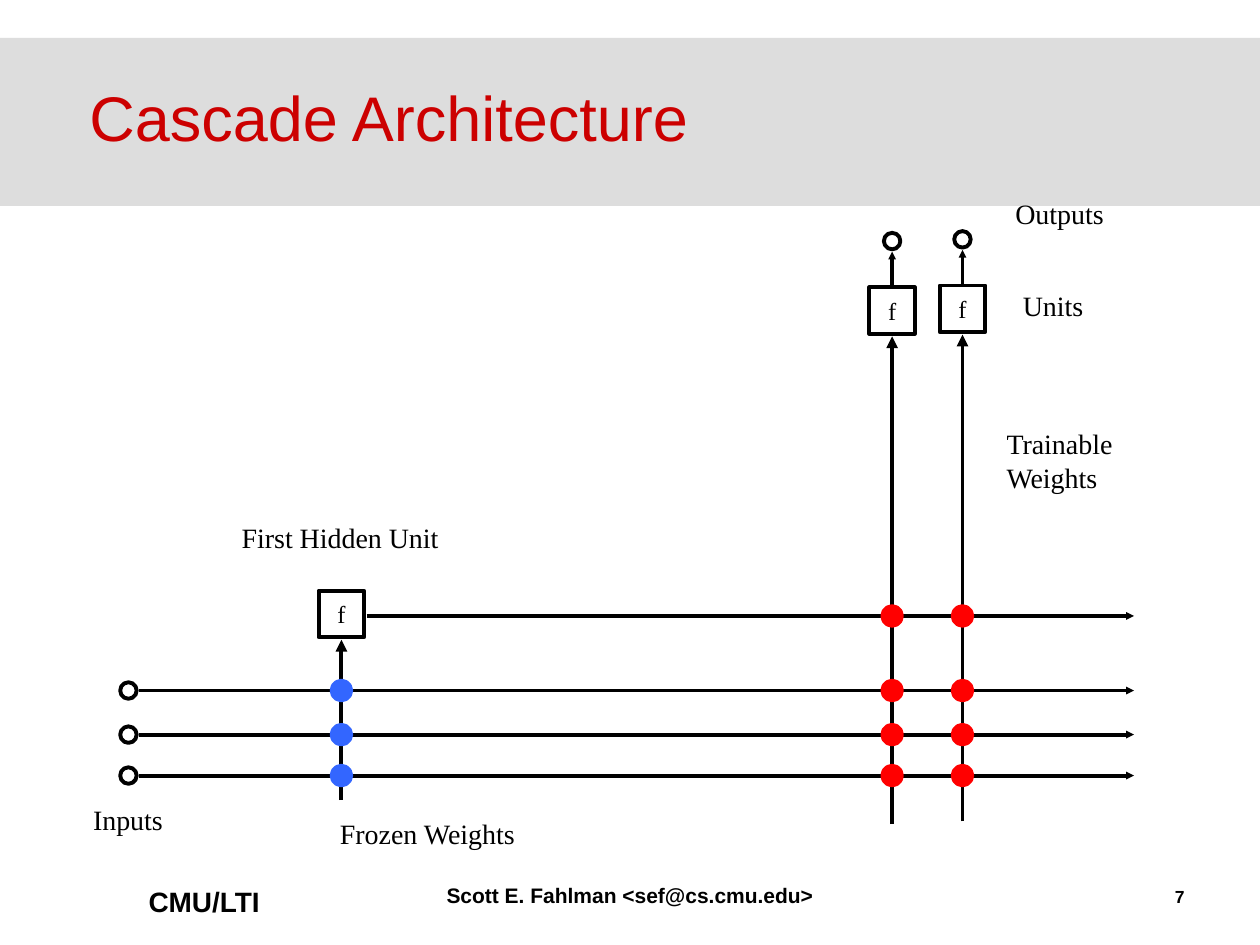
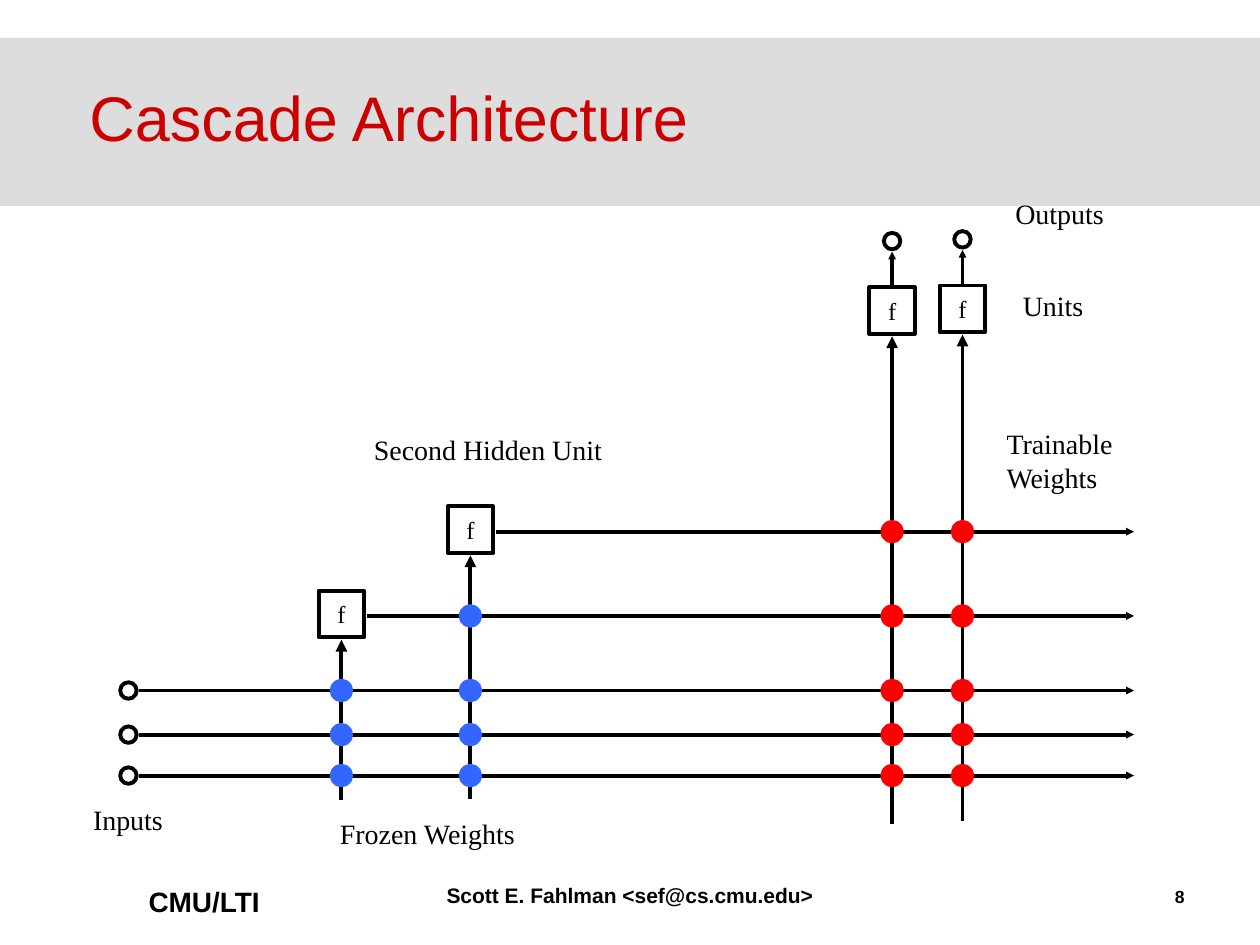
from dataclasses import dataclass

from lxml.etree import SubElement
from pptx import Presentation
from pptx.dml.color import RGBColor
from pptx.enum.shapes import MSO_CONNECTOR, MSO_SHAPE
from pptx.enum.text import MSO_ANCHOR as Anchor, PP_ALIGN as Align
from pptx.oxml.ns import qn
from pptx.util import Pt


@dataclass(frozen=True)
class Theme:
    ink: str = "000000"
    band: str = "DDDDDD"
    title: str = "CC0000"
    trainable: str = "FF0000"
    frozen: str = "3366FF"
    sans: str = "Arial"
    serif: str = "Times New Roman"
    title_size: float = 36
    label_size: float = 16
    unit_size: float = 14
    footer_size: float = 12
    number_size: float = 10
    stroke: float = 2.25
    dot_stroke: float = 4


@dataclass(frozen=True)
class Text:
    text: str
    left: float
    top: float
    width: float
    height: float
    size: float
    font: str
    color: str
    bold: bool = False
    anchor: Anchor = Anchor.TOP
    align: Align = Align.LEFT
    wrap: bool = True


@dataclass(frozen=True)
class Unit:
    x: float
    top: float
    foot: float
    hidden: bool

    @property
    def bottom(self) -> float:
        return self.top + BOX_H

    @property
    def color(self) -> str:
        return THEME.frozen if self.hidden else THEME.trainable


@dataclass(frozen=True)
class Signal:
    start: float
    y: float


THEME = Theme()
SLIDE_W, SLIDE_H = 720, 540
BOX_W, BOX_H = 26, 26.6
NODE = 9.4
GAP = 1.4
INPUT_X = 73.4
SIGNAL_END = 648
OUTPUT_RISE, OUTPUT_ARROW = 26.4, 20.4
HIDDEN_OUT = 14.4

INPUTS = [Signal(79.4, y) for y in (394.6, 419.8, 443.2)]
OUTPUT_UNITS = [Unit(509.8, 164.2, 470.9, False), Unit(550, 163.2, 469.4, False)]
FIRST_HIDDEN = Unit(195.1, 337.6, 457.2, True)
SECOND_HIDDEN = Unit(268.8, 289.4, 456.5, True)


def label(text: str, left: float, top: float, width: float, height: float = 26.6) -> Text:
    return Text(text, left, top, width, height, THEME.label_size, THEME.serif,
                THEME.ink, wrap=False)


LABELS = [
    label("Inputs", 46.1, 455, 59),
    label("Outputs", 573.1, 108.7, 70.6),
    label("Units", 577.4, 161.3, 51.1),
    label("Frozen Weights", 187.2, 463, 122.4),
    label("Trainable\nWeights", 568.1, 240.5, 82.1, 46.1),
]
FIRST_LABEL = label("First Hidden Unit", 131, 293.8, 136.8)
SECOND_LABEL = label("Second Hidden Unit", 206.6, 243.4, 152.6)


def style_text(tf, text: str, size: float, font: str, color: str,
               bold: bool, align: Align) -> None:
    tf.text = text
    for p in tf.paragraphs:
        p.alignment = align
        for r in p.runs:
            r.font.size = Pt(size)
            r.font.name = font
            r.font.bold = bold
            r.font.color.rgb = RGBColor.from_string(color)


def draw_text(s, t: Text) -> None:
    box = s.shapes.add_textbox(Pt(t.left), Pt(t.top), Pt(t.width), Pt(t.height))
    tf = box.text_frame
    tf.word_wrap = t.wrap
    tf.vertical_anchor = t.anchor
    style_text(tf, t.text, t.size, t.font, t.color, t.bold, t.align)


def draw_shape(s, kind: MSO_SHAPE, x: float, y: float, w: float, h: float,
               fill: str | None = None, line: str | None = THEME.ink,
               stroke: float = THEME.stroke):
    sp = s.shapes.add_shape(kind, Pt(x - w / 2), Pt(y - h / 2), Pt(w), Pt(h))
    sp.shadow.inherit = False
    if fill:
        sp.fill.solid()
        sp.fill.fore_color.rgb = RGBColor.from_string(fill)
    else:
        sp.fill.background()
    if line:
        sp.line.color.rgb = RGBColor.from_string(line)
        sp.line.width = Pt(stroke)
    else:
        sp.line.fill.background()
    return sp


def draw_arrow(s, x1: float, y1: float, x2: float, y2: float, head: str = "sm") -> None:
    line = s.shapes.add_connector(MSO_CONNECTOR.STRAIGHT, Pt(x1), Pt(y1), Pt(x2), Pt(y2))
    line.line.color.rgb = RGBColor.from_string(THEME.ink)
    line.line.width = Pt(THEME.stroke)
    SubElement(line.line._get_or_add_ln(), qn("a:tailEnd"), type="triangle", w=head, len=head)
    SubElement(line._element.spPr, qn("a:effectLst"))


def draw_node(s, x: float, y: float) -> None:
    draw_shape(s, MSO_SHAPE.OVAL, x, y, NODE, NODE)


def draw_unit(s, unit: Unit) -> None:
    sp = draw_shape(s, MSO_SHAPE.RECTANGLE, unit.x, unit.top + BOX_H / 2, BOX_W, BOX_H)
    tf = sp.text_frame
    tf.margin_left = tf.margin_right = tf.margin_top = tf.margin_bottom = 0
    tf.word_wrap = False
    tf.vertical_anchor = Anchor.MIDDLE
    style_text(tf, "f", THEME.unit_size, THEME.serif, THEME.ink, False, Align.CENTER)
    draw_arrow(s, unit.x, unit.foot, unit.x, unit.bottom + GAP, "med")
    if not unit.hidden:
        draw_arrow(s, unit.x, unit.top, unit.x, unit.top - OUTPUT_ARROW)
        draw_node(s, unit.x, unit.top - OUTPUT_RISE)


def draw_network(s, hidden: list[Unit]) -> None:
    units = OUTPUT_UNITS + hidden
    signals = INPUTS + [Signal(u.x + BOX_W / 2 + GAP, u.top + HIDDEN_OUT) for u in hidden]
    for signal in INPUTS:
        draw_node(s, INPUT_X, signal.y)
    for signal in signals:
        draw_arrow(s, signal.start, signal.y, SIGNAL_END, signal.y)
    for unit in units:
        draw_unit(s, unit)
    for unit in units:
        for signal in signals:
            if signal.y > unit.bottom:
                draw_shape(s, MSO_SHAPE.OVAL, unit.x, signal.y, NODE, NODE,
                           unit.color, unit.color, THEME.dot_stroke)


def draw_frame(s, number: int) -> None:
    draw_shape(s, MSO_SHAPE.RECTANGLE, SLIDE_W / 2, 69.6, SLIDE_W, 96, THEME.band, None)
    draw_text(s, Text("Cascade Architecture", 44, 21.6, 640, 90, THEME.title_size,
                      THEME.sans, THEME.title, anchor=Anchor.MIDDLE))
    footers = [
        ("CMU/LTI", 77.8, 498.2, 99.4, 30.2, THEME.label_size, Align.LEFT),
        ("Scott E. Fahlman <sef@cs.cmu.edu>", 204, 504, 312, 18, THEME.footer_size, Align.CENTER),
        (str(number), 516, 504, 168, 18, THEME.number_size, Align.RIGHT),
    ]
    for text, left, top, width, height, size, align in footers:
        draw_text(s, Text(text, left, top, width, height, size, THEME.sans, THEME.ink,
                          True, Anchor.BOTTOM, align))


def main() -> None:
    prs = Presentation()
    prs.slide_width, prs.slide_height = Pt(SLIDE_W), Pt(SLIDE_H)
    stages = [
        (7, [FIRST_HIDDEN], FIRST_LABEL),
        (8, [FIRST_HIDDEN, SECOND_HIDDEN], SECOND_LABEL),
    ]
    for number, hidden, caption in stages:
        s = prs.slides.add_slide(prs.slide_layouts[6])
        draw_frame(s, number)
        draw_network(s, hidden)
        for text in [*LABELS, caption]:
            draw_text(s, text)
    prs.save("out.pptx")


if __name__ == "__main__":
    main()
